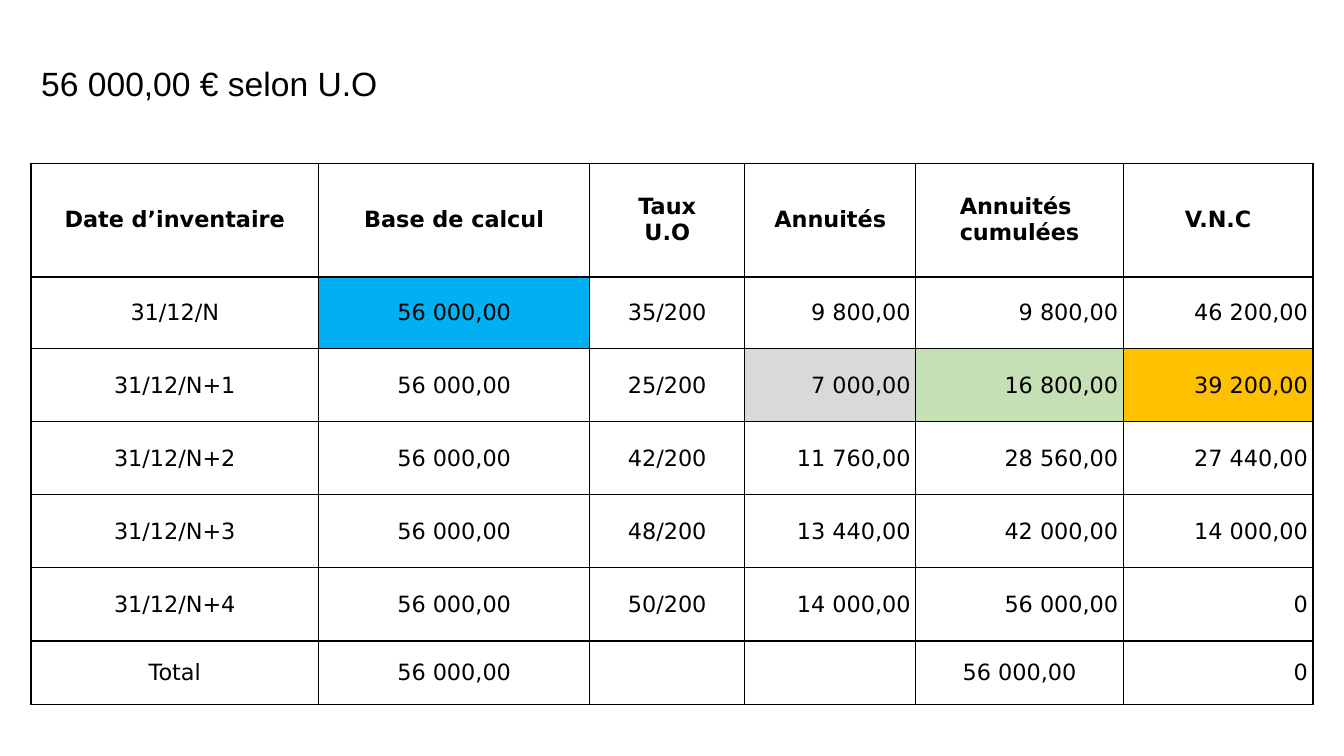
"""Build the slide with the units-of-output depreciation table."""
from copy import deepcopy
from dataclasses import dataclass

from lxml import etree
from pptx import Presentation
from pptx import util as u
from pptx.dml.color import RGBColor
from pptx.enum import text
from pptx.oxml import ns


@dataclass(frozen=True)
class Theme:
    """Colours, fonts and sizes of the slide."""
    ink: str = "000000"
    blue: str = "00B0F0"
    white: str = "FFFFFF"
    grey: str = "D9D9D9"
    green: str = "C5E0B4"
    amber: str = "FFC000"
    title_font: str = "Arial"
    table_font: str = "DejaVu Sans"
    title_size: int = 24
    table_size: int = 16
    border: int = 1


THEME = Theme()
LEFT, CENTER, RIGHT = text.PP_ALIGN.LEFT, text.PP_ALIGN.CENTER, text.PP_ALIGN.RIGHT
BASE = "56 000,00"
COLUMNS = [7.25, 6.83, 3.91, 4.31, 5.23, 4.78]
HEIGHTS = [2.87, 1.81, 1.84, 1.84, 1.84, 1.84, 1.61]
ROWS = [
    ["Date d’inventaire", "Base de calcul", "Taux\nU.O", "Annuités", "Annuités \vcumulées", "V.N.C"],
    ["31/12/N", BASE, "35/200", "9 800,00", "9 800,00", "46 200,00"],
    ["31/12/N+1", BASE, "25/200", "7 000,00", "16 800,00", "39 200,00"],
    ["31/12/N+2", BASE, "42/200", "11 760,00", "28 560,00", "27 440,00"],
    ["31/12/N+3", BASE, "48/200", "13 440,00", "42 000,00", "14 000,00"],
    ["31/12/N+4", BASE, "50/200", "14 000,00", "56 000,00", "0"],
    ["Total", BASE, "", "", "56 000,00", "0"],
]
FILLS = {
    (1, 1): THEME.blue,
    (1, 3): THEME.white, (1, 4): THEME.white, (1, 5): THEME.white,
    (2, 3): THEME.grey, (2, 4): THEME.green, (2, 5): THEME.amber,
}


def write(frame, words, *, font, size, bold=False, align=LEFT, spacing=None, after=None):
    """Write words into a text frame, one paragraph per line, in one format."""
    frame.text = words
    for para in frame.paragraphs:
        para.alignment = align
        para.line_spacing = spacing
        para.space_after = after
        for span in para.runs:
            span.font.name = font
            span.font.size = u.Pt(size)
            span.font.bold = bold
            span.font.color.rgb = RGBColor.from_string(THEME.ink)
        for line_break in para._p.findall(ns.qn("a:br")):
            line_break.append(deepcopy(para.runs[0]._r.rPr))


def add_title(page, words):
    """Add the heading above the table."""
    box = page.shapes.add_textbox(u.Cm(0.79), u.Cm(0.28), u.Cm(32.72), u.Cm(3.58))
    frame = box.text_frame
    frame.word_wrap = True
    frame.vertical_anchor = text.MSO_ANCHOR.MIDDLE
    write(frame, words, font=THEME.title_font, size=THEME.title_size,
          spacing=1.06, after=u.Pt(8))


def draw_borders(cell):
    """Draw a thin line on the four sides of a cell."""
    properties = cell._tc.get_or_add_tcPr()
    for index, side in enumerate(("lnL", "lnR", "lnT", "lnB")):
        line = etree.Element(ns.qn(f"a:{side}"), w=str(u.Pt(THEME.border)))
        fill = etree.SubElement(line, ns.qn("a:solidFill"))
        etree.SubElement(fill, ns.qn("a:srgbClr"), val=THEME.ink)
        properties.insert(index, line)


def format_cell(cell, fill):
    """Set the margins, anchor, fill and borders of a cell."""
    cell.margin_left = cell.margin_right = u.Cm(0.13)
    cell.margin_top = cell.margin_bottom = 0
    cell.vertical_anchor = text.MSO_ANCHOR.MIDDLE
    if fill:
        cell.fill.solid()
        cell.fill.fore_color.rgb = RGBColor.from_string(fill)
    else:
        cell.fill.background()
    draw_borders(cell)


def cell_alignment(row, column):
    """Right-align the amounts, except in the header and the cumulated total."""
    is_total = row == len(ROWS) - 1
    is_amount = row > 0 and column >= 3
    return RIGHT if is_amount and not (is_total and column == 4) else CENTER


def add_schedule(page):
    """Add the depreciation table."""
    table = page.shapes.add_table(
        len(ROWS), len(COLUMNS), u.Cm(0.78), u.Cm(4.11),
        u.Cm(sum(COLUMNS)), u.Cm(sum(HEIGHTS))).table
    table.first_row = table.horz_banding = False
    for column, width in zip(table.columns, COLUMNS):
        column.width = u.Cm(width)
    for row, height in zip(table.rows, HEIGHTS):
        row.height = u.Cm(height)
    for r, values in enumerate(ROWS):
        for c, words in enumerate(values):
            cell = table.cell(r, c)
            write(cell.text_frame, words, font=THEME.table_font, size=THEME.table_size,
                  bold=r == 0, align=cell_alignment(r, c))
            format_cell(cell, FILLS.get((r, c)))


def main():
    """Build and save the deck."""
    deck = Presentation()
    deck.slide_width, deck.slide_height = u.Cm(33.87), u.Cm(19.05)
    page = deck.slides.add_slide(deck.slide_layouts[6])
    add_title(page, "56 000,00 € selon U.O")
    add_schedule(page)
    deck.save("out.pptx")


if __name__ == "__main__":
    main()
